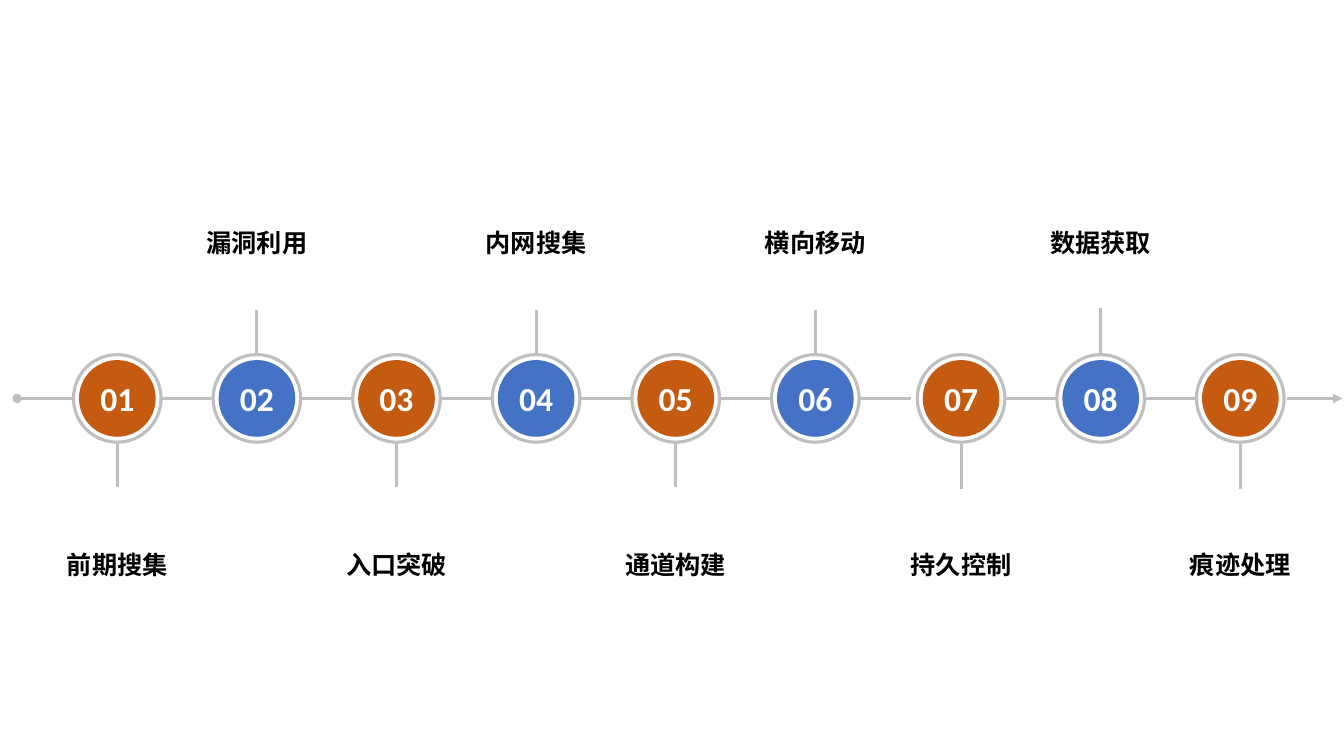
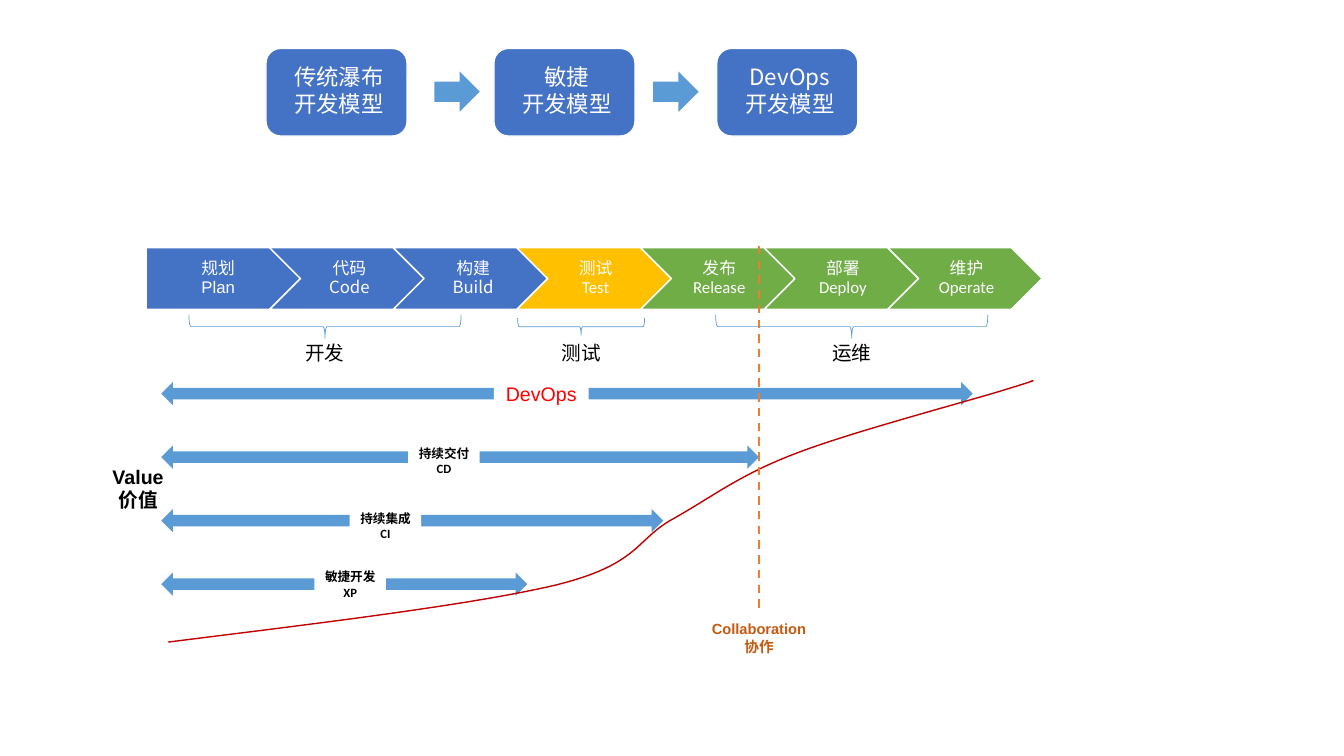
from lxml import etree
from pptx import Presentation
from pptx import util as u
from pptx.dml.color import RGBColor
from pptx.enum import dml, shapes, text
from pptx.oxml import ns

Pt = u.Pt
KIND = shapes.MSO_SHAPE
TOP, MID = text.MSO_ANCHOR.TOP, text.MSO_ANCHOR.MIDDLE
NOTO, ARIAL, LATO = "Noto Sans CJK SC", "Arial", "Calibri"
HUES = {
    "white": "FFFFFF", "black": "000000", "grey": "BFBFBF", "rust": "C55A11",
    "blue": "4472C4", "sky": "5B9BD5", "gold": "FFC000", "green": "70AD47",
    "red": "FF0000", "wine": "C00000", "orange": "ED7D31",
}


def hue(name):
    return RGBColor.from_string(HUES[name])


def add_sub(node, tag, **attrs):
    return etree.SubElement(node, ns.qn(tag), **attrs)


def paint(shape, fill=None, line=None, width=1):
    shape.shadow.inherit = False
    if fill:
        shape.fill.solid()
        shape.fill.fore_color.rgb = hue(fill)
    else:
        shape.fill.background()
    if line:
        shape.line.color.rgb = hue(line)
        shape.line.width = Pt(width)
    else:
        shape.line.fill.background()
    return shape


def add_form(slide, kind, x, y, w, h, fill=None, line=None, width=1):
    shape = slide.shapes.add_shape(kind, Pt(x), Pt(y), Pt(w), Pt(h))
    return paint(shape, fill, line, width)


def write(shape, words, size, font=LATO, tint="black", bold=False,
          pads=(7.2, 3.6, 7.2, 3.6), anchor=TOP, wrap=True, lead=None, gap=None):
    frame = shape.text_frame
    frame.text = words
    frame.word_wrap = wrap
    frame.vertical_anchor = anchor
    frame.margin_left, frame.margin_top, frame.margin_right, frame.margin_bottom = map(Pt, pads)
    for para in frame.paragraphs:
        para.alignment = text.PP_ALIGN.CENTER
        if lead:
            para.line_spacing = lead
        if gap:
            para.space_after = Pt(gap)
        for run in para.runs:
            run.font.size = Pt(size)
            run.font.bold = bold
            run.font.name = font
            run.font.color.rgb = hue(tint)
            add_sub(run.font._element, "a:ea", typeface=NOTO)


def add_note(slide, x, y, w, h, words, size, **style):
    box = slide.shapes.add_textbox(Pt(x), Pt(y), Pt(w), Pt(h))
    write(box, words, size, **style)


def add_line(slide, x1, y1, x2, y2, tint="grey", width=2.25, dash=False, head=None, tail=None):
    line = slide.shapes.add_connector(
        shapes.MSO_CONNECTOR.STRAIGHT, Pt(x1), Pt(y1), Pt(x2), Pt(y2))
    line.line.color.rgb = hue(tint)
    line.line.width = Pt(width)
    if dash:
        line.line.dash_style = dml.MSO_LINE.DASH
    for tag, tip in (("a:headEnd", head), ("a:tailEnd", tail)):
        if tip:
            add_sub(line.line._get_or_add_ln(), tag, type=tip)
    add_sub(line._element.spPr, "a:effectLst")


def add_curve(slide, start, parts, tint, steps=24):
    spots, here = [], start
    for a, b, end in parts:
        for i in range(1, steps + 1):
            t = i / steps
            s = 1 - t
            spots.append(tuple(
                Pt(s**3 * p + 3 * s * s * t * q + 3 * s * t * t * r + t**3 * e)
                for p, q, r, e in zip(here, a, b, end)))
        here = end
    pen = slide.shapes.build_freeform(Pt(start[0]), Pt(start[1]))
    pen.add_line_segments(spots, close=False)
    paint(pen.convert_to_shape(), line=tint)


def add_stage(slide, i, name):
    late = i > 5
    x = 83.8 + 99.72 * i + (4.4 if late else 0)
    y, ring, disc, stem = 284.6, 62.6, 54.8, 32
    half = ring / 2
    odd = i % 2
    add_form(slide, KIND.OVAL, x - half, y - half, ring, ring, line="grey", width=2.25)
    dot = add_form(slide, KIND.OVAL, x - disc / 2, y - disc / 2, disc, disc,
                   fill="blue" if odd else "rust")
    write(dot, f"{i + 1:02}", 24, tint="white", bold=True, pads=(0,) * 4, anchor=MID)
    side = -1 if odd else 1
    root = y + side * (half + (1.4 if late else 0))
    add_line(slide, x, root, x, root + side * stem)
    add_note(slide, x - 54, 121.7 if odd else 351.4, 108, 96.5, name, 18, font=NOTO,
             bold=True, pads=(0,) * 4, anchor=MID, lead=1.3)
    if i == 0:
        add_line(slide, 12.2, y, x - half, y, head="oval")
    if i < 8:
        add_line(slide, x + half, y, x + half + 37.1, y)
    else:
        add_line(slide, x + half + 2, y, 959, y, tail="triangle")


def add_step(slide, i, name, fill, font):
    x, y, w, h = 104.4 + 88.3 * i, 177, 110.2, 44
    add_form(slide, KIND.CHEVRON if i else KIND.PENTAGON, x, y, w, h, fill, "white")
    left, wide = (x + 22, 66.2) if i else (x, 99.4)
    add_note(slide, left, y, wide, h, name, 12, font=font, tint="white",
             pads=(5 if i < 3 else 3.6, 3, 1.4, 3), anchor=MID, lead=0.9)


def add_group(slide, x, span, deep, name):
    y = 233.3
    brace = add_form(slide, KIND.LEFT_BRACE, x - deep / 2, y - span / 2, deep, span,
                     line="sky", width=0.5)
    brace.rotation = 270
    add_note(slide, x - 50.8, 239.8, 101.6, 24.5, name, 14)


def add_range(slide, i, w, x, rise, name, big=False):
    y = 272.9 + 45.36 * i
    add_form(slide, KIND.LEFT_RIGHT_ARROW, 115.2, y, w, 16.6, "sky")
    tag = add_form(slide, KIND.RECTANGLE, x, y - rise, 67.7 if big else 51.1,
                   24.5 if big else 28.8, "white")
    if big:
        write(tag, name, 14, font=ARIAL, tint="red", wrap=False)
    else:
        write(tag, name, 9, bold=True, wrap=False)


def draw_chain(slide):
    names = ("前期搜集", "漏洞利用", "入口突破", "内网搜集", "通道构建",
             "横向移动", "持久控制", "数据获取", "痕迹处理")
    for i, name in enumerate(names):
        add_stage(slide, i, name)


def draw_flow(slide):
    steps = (("规划\vPlan", "blue", ARIAL), ("代码\vCode", "blue", NOTO),
             ("构建\vBuild", "blue", NOTO), ("测试\vTest", "gold", LATO),
             ("发布Release", "green", LATO), ("部署\vDeploy", "green", LATO),
             ("维护Operate", "green", LATO))
    for i, step in enumerate(steps):
        add_step(slide, i, *step)

    for group in ((232.2, 194.4, 16.6, "开发"), (415.1, 90.7, 12.2, "测试"),
                  (608.4, 194.4, 16.6, "运维")):
        add_group(slide, *group)

    for x, name in ((190, "传统瀑布"), (352.8, "敏捷"), (512, "DevOps")):
        card = add_form(slide, KIND.ROUNDED_RECTANGLE, x, 34.6, 100.8, 62.6, "blue", "white")
        write(card, name + "\n开发模型", 16, font=NOTO, tint="white",
              pads=(5, 3, 1.4, 3), anchor=MID, lead=0.9, gap=2)
    for x in (310.3, 466.6):
        add_form(slide, KIND.RIGHT_ARROW, x, 51.1, 32.4, 28.8, "sky")

    ranges = ((579.6, 352.8, 3.6, "DevOps", True), (427, 291.6, 3.6, "持续交付\vCD"),
              (358.6, 249.8, 2.2, "持续集成\vCI"), (261.4, 224.6, 5.8, "敏捷开发\vXP"))
    for i, item in enumerate(ranges):
        add_range(slide, i, *item)

    add_curve(slide, (120.2, 458.6), (
        ((229, 445), (337.7, 432), (398.2, 417.6)),
        ((457.9, 402.5), (453.6, 385.2), (481.7, 370.1)),
        ((509.8, 354.2), (528.5, 339.1), (568.1, 324)),
        ((607, 308.9), (689, 287.3), (717.1, 278.6)),
        ((745.2, 270), (736.6, 272.2), (736.6, 272.2)),
    ), "wine")
    add_note(slide, 72, 328.3, 53.3, 41, "Value\n价值", 14, font=ARIAL, bold=True, wrap=False)
    add_line(slide, 542.2, 175.7, 542.2, 434.9, "orange", 1.5, dash=True)
    add_note(slide, 498.6, 439.2, 87.2, 32.4, "Collaboration\n协作", 10.5, font=ARIAL,
             tint="rust", bold=True, wrap=False)


def main():
    deck = Presentation()
    deck.slide_width, deck.slide_height = Pt(960), Pt(540)
    for draw in (draw_chain, draw_flow):
        draw(deck.slides.add_slide(deck.slide_layouts[6]))
    deck.save("out.pptx")


if __name__ == "__main__":
    main()
